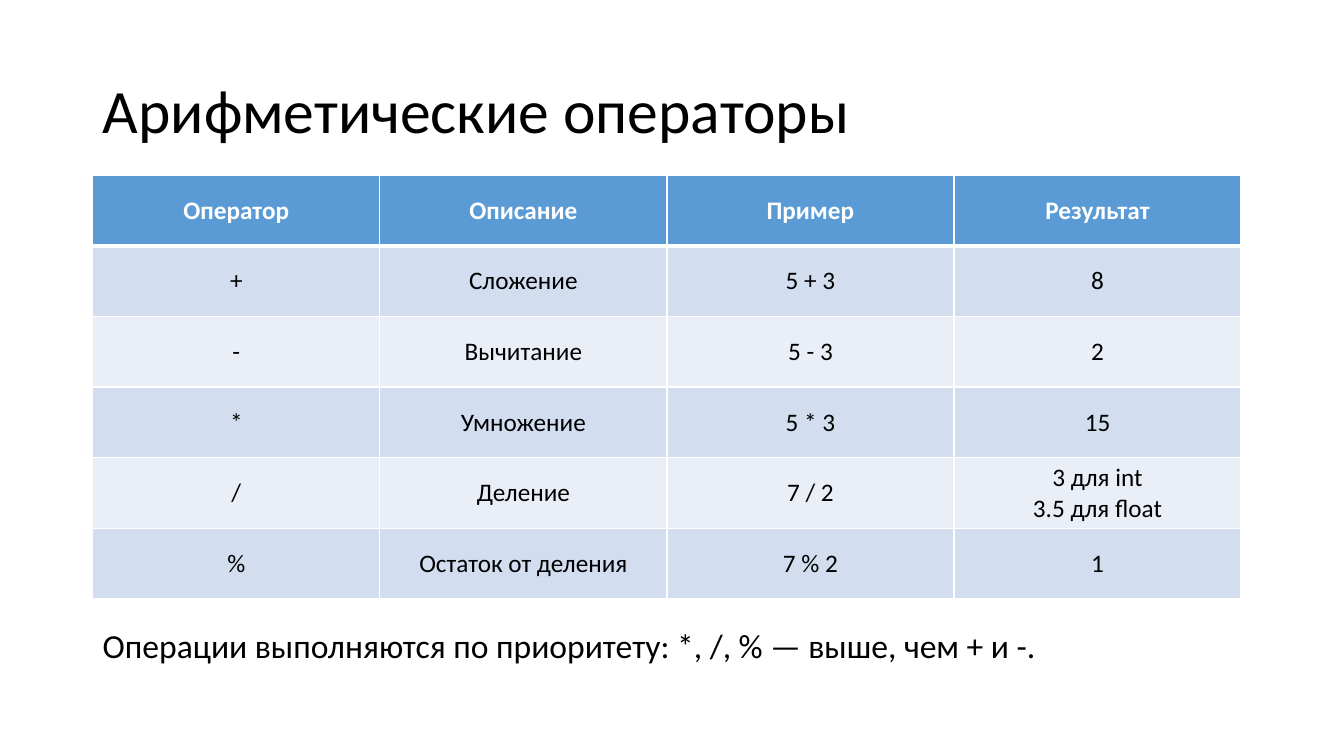
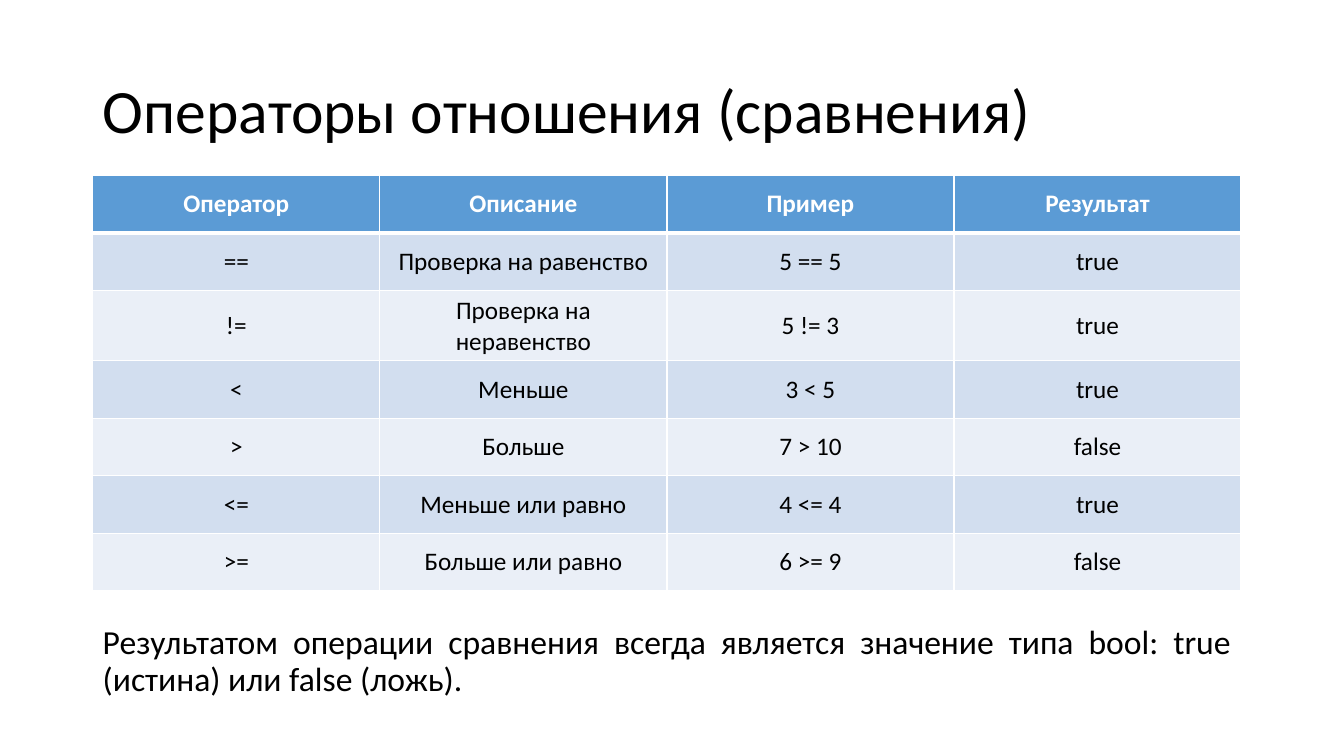
from lxml import etree
from pptx import Presentation
from pptx.dml.color import RGBColor
from pptx.enum.text import MSO_ANCHOR, MSO_AUTO_SIZE, PP_ALIGN
from pptx.oxml.ns import qn
from pptx.util import Inches, Pt

# Content
HEADINGS = ("Оператор", "Описание", "Пример", "Результат")
SLIDES = [
    {
        "title": "Арифметические операторы",
        "rows": [
            ("+", "Сложение", "5 + 3", "8"),
            ("-", "Вычитание", "5 - 3", "2"),
            ("*", "Умножение", "5 * 3", "15"),
            ("/", "Деление", "7 / 2", "3 для int\n3.5 для float"),
            ("%", "Остаток от деления", "7 % 2", "1"),
        ],
        "row_height": 0.7,
        "note": "Операции выполняются по приоритету: *, /, % — выше, чем + и -.",
        "note_top": 6.2,
        "note_height": 0.75,
    },
    {
        "title": "Операторы отношения (сравнения)",
        "rows": [
            ("==", "Проверка на равенство", "5 == 5", "true"),
            ("!=", "Проверка на неравенство", "5 != 3", "true"),
            ("<", "Меньше", "3 < 5", "true"),
            (">", "Больше", "7 > 10", "false"),
            ("<=", "Меньше или равно", "4 <= 4", "true"),
            (">=", "Больше или равно", "6 >= 9", "false"),
        ],
        "row_height": 0.57,
        "note": "Результатом операции сравнения всегда является значение типа bool: "
                "true (истина) или false (ложь).",
        "note_top": 6.16,
        "note_height": 0.85,
    },
]

# Shared style
FONT = "Calibri"
BLACK = RGBColor(0x00, 0x00, 0x00)
WHITE = RGBColor(0xFF, 0xFF, 0xFF)
HEADER_BLUE = RGBColor(0x5B, 0x9B, 0xD5)
BAND_FILLS = (RGBColor(0xEA, 0xEF, 0xF7), RGBColor(0xD2, 0xDE, 0xEF))
LEFT, CENTER, JUSTIFY = PP_ALIGN.LEFT, PP_ALIGN.CENTER, PP_ALIGN.JUSTIFY
TOP, MIDDLE = MSO_ANCHOR.TOP, MSO_ANCHOR.MIDDLE
NO_AUTOFIT = MSO_AUTO_SIZE.NONE
TITLE_ONLY = 5

MARGIN = Inches(0.92)
TITLE_TOP, TITLE_WIDTH, TITLE_HEIGHT = Inches(0.4), Inches(11.5), Inches(1.45)
TABLE_TOP, TABLE_WIDTH = Inches(1.74), Inches(11.39)
THIN, THICK = Pt(1), Pt(3)


def write_text(frame, text, size, color=BLACK, bold=False, align=LEFT, spacing=1.0):
    frame.text = text
    for paragraph in frame.paragraphs:
        paragraph.alignment = align
        paragraph.line_spacing = spacing
        for run in paragraph.runs:
            font = run.font
            font.name, font.size, font.bold = FONT, Pt(size), bold
            font.color.rgb = color


def set_borders(cell, top, bottom):
    """Draw white cell borders; the lines must precede the fill in the XML."""
    properties = cell._tc.get_or_add_tcPr()
    widths = {"a:lnL": THIN, "a:lnR": THIN, "a:lnT": top, "a:lnB": bottom}
    for position, (tag, width) in enumerate(widths.items()):
        line = etree.Element(qn(tag), w=str(int(width)))
        fill = etree.SubElement(line, qn("a:solidFill"))
        etree.SubElement(fill, qn("a:srgbClr"), val=str(WHITE))
        properties.insert(position, line)


def add_title(slide, text):
    title = slide.shapes.title
    title.left, title.top = MARGIN, TITLE_TOP
    title.width, title.height = TITLE_WIDTH, TITLE_HEIGHT
    frame = title.text_frame
    frame.auto_size, frame.vertical_anchor = NO_AUTOFIT, MIDDLE
    write_text(frame, text, 44, spacing=0.9)


def add_note(slide, text, top, height):
    frame = slide.shapes.add_textbox(MARGIN, top, TABLE_WIDTH, height).text_frame
    frame.word_wrap, frame.vertical_anchor = True, TOP
    write_text(frame, text, 24, align=JUSTIFY, spacing=0.9)


def add_operator_table(slide, body_rows, row_height):
    rows = [HEADINGS, *body_rows]
    table = slide.shapes.add_table(
        len(rows), len(HEADINGS), MARGIN, TABLE_TOP, TABLE_WIDTH, row_height * len(rows)
    ).table
    for row_index, values in enumerate(rows):
        table.rows[row_index].height = row_height
        is_header = row_index == 0
        for column_index, value in enumerate(values):
            cell = table.cell(row_index, column_index)
            cell.vertical_anchor = MIDDLE
            cell.fill.solid()
            cell.fill.fore_color.rgb = HEADER_BLUE if is_header else BAND_FILLS[row_index % 2]
            set_borders(cell, THICK if row_index == 1 else THIN, THICK if is_header else THIN)
            write_text(cell.text_frame, value, 18, color=WHITE if is_header else BLACK,
                       bold=is_header, align=CENTER)


def main():
    presentation = Presentation()
    presentation.slide_width, presentation.slide_height = Inches(13.33), Inches(7.5)
    for content in SLIDES:
        slide = presentation.slides.add_slide(presentation.slide_layouts[TITLE_ONLY])
        add_title(slide, content["title"])
        add_note(slide, content["note"], Inches(content["note_top"]),
                 Inches(content["note_height"]))
        add_operator_table(slide, content["rows"], Inches(content["row_height"]))
    presentation.save("out.pptx")


if __name__ == "__main__":
    main()
